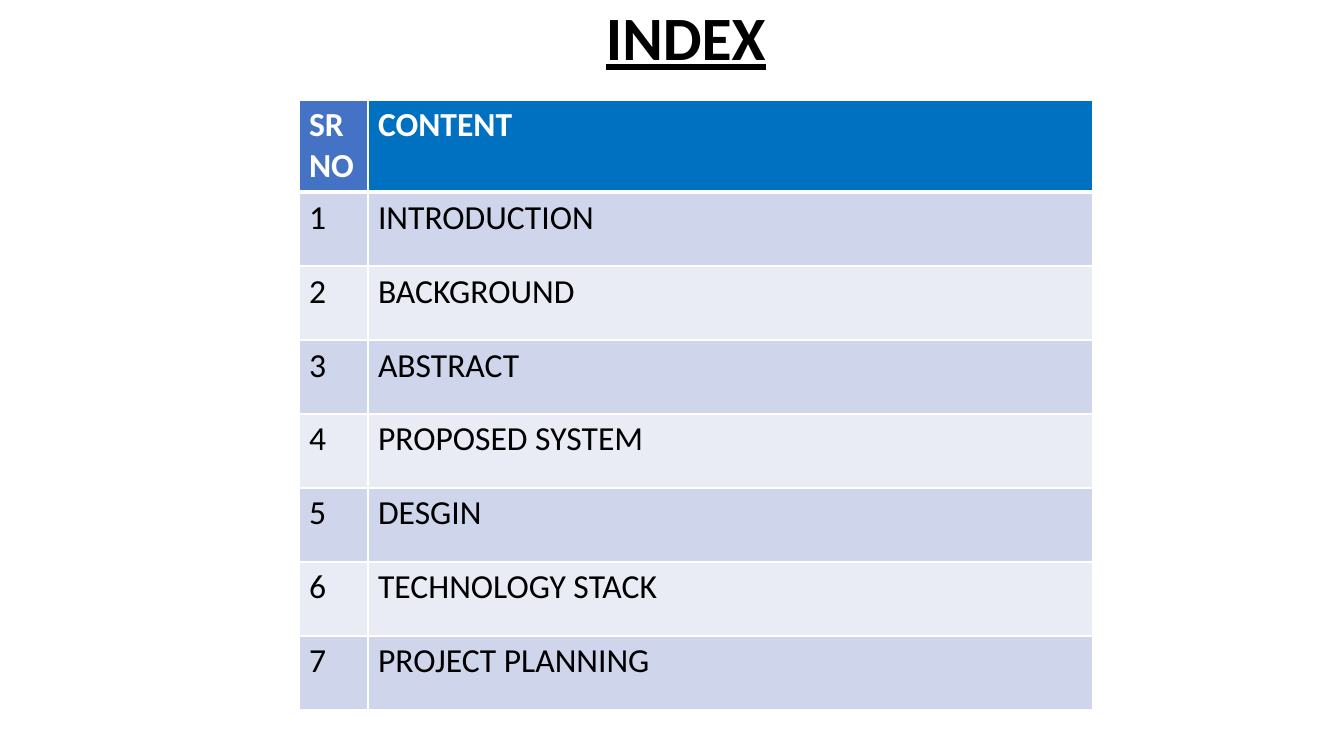
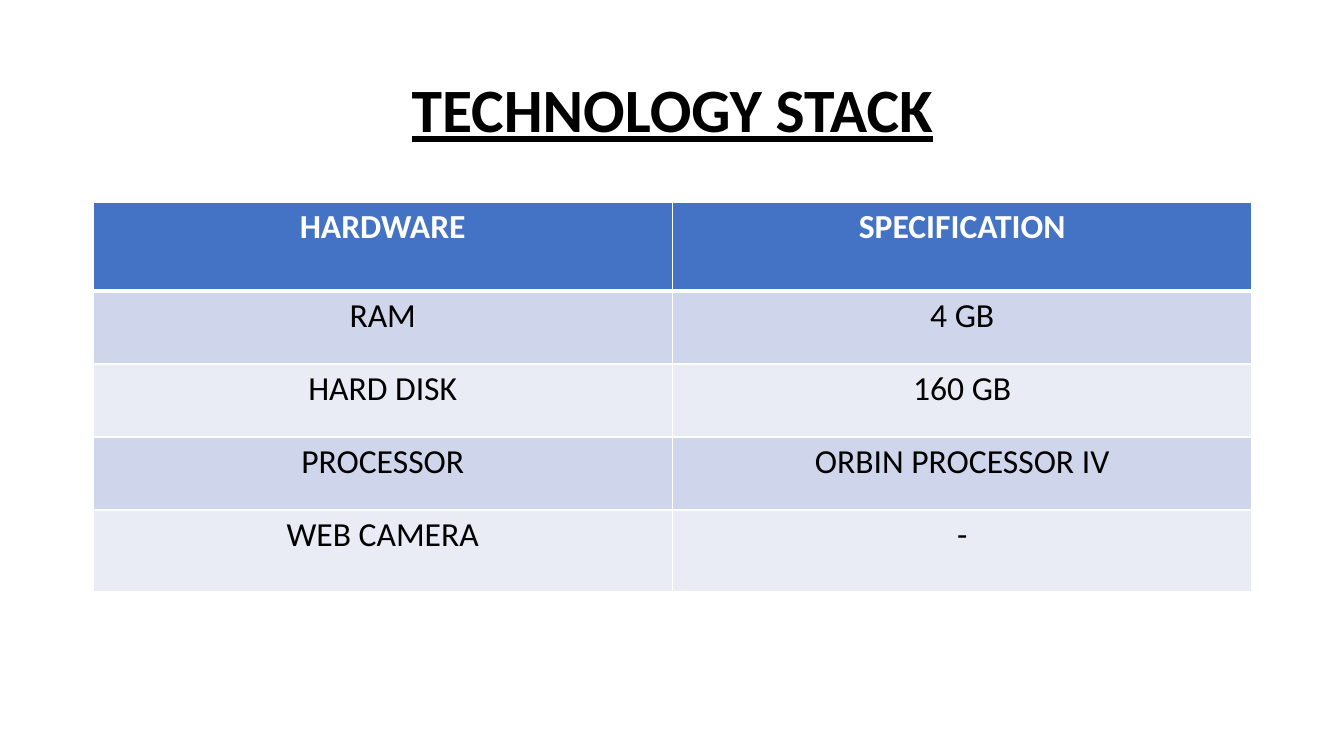
from dataclasses import dataclass

from lxml import etree
from pptx import Presentation
from pptx.dml.color import RGBColor
from pptx.enum.text import MSO_ANCHOR, MSO_AUTO_SIZE, PP_ALIGN
from pptx.oxml.ns import qn
from pptx.util import Emu, Pt

LEFT, CENTER = PP_ALIGN.LEFT, PP_ALIGN.CENTER
MIDDLE = MSO_ANCHOR.MIDDLE
NO_AUTOFIT = MSO_AUTO_SIZE.NONE
TITLE_ONLY = 5
SLIDE_WIDTH, SLIDE_HEIGHT = 1344, 756
EMU_PER_PX = 12192000 / SLIDE_WIDTH
CONTENT_LEFT, CONTENT_WIDTH = 93, 1159


@dataclass(frozen=True)
class Theme:
    font: str = "Calibri"
    title_size: int = 44
    table_size: int = 24
    thin_line: int = 1
    thick_line: int = 3
    text: RGBColor = RGBColor(0x00, 0x00, 0x00)
    white: RGBColor = RGBColor(0xFF, 0xFF, 0xFF)
    header: RGBColor = RGBColor(0x44, 0x72, 0xC4)
    header_accent: RGBColor = RGBColor(0x00, 0x70, 0xC0)
    bands: tuple = (RGBColor(0xCF, 0xD5, 0xEA), RGBColor(0xE9, 0xEB, 0xF5))


THEME = Theme()


def px(length):
    return Emu(round(length * EMU_PER_PX))


def format_text(frame, size, color, bold, align):
    for para in frame.paragraphs:
        para.alignment = align
        for span in para.runs:
            span.font.name = THEME.font
            span.font.size = Pt(size)
            span.font.color.rgb = color
            span.font.bold = bold


def add_page(deck, title, top, height, align=CENTER, indent=10):
    page = deck.slides.add_slide(deck.slide_layouts[TITLE_ONLY])
    box = page.shapes.title
    box.left, box.top = px(CONTENT_LEFT), px(top)
    box.width, box.height = px(CONTENT_WIDTH), px(height)
    frame = box.text_frame
    frame.text = title
    frame.word_wrap = True
    frame.auto_size = NO_AUTOFIT
    frame.vertical_anchor = MIDDLE
    frame.margin_left = px(indent)
    format_text(frame, THEME.title_size, THEME.text, True, align)
    para = frame.paragraphs[0]
    para.line_spacing = 0.9
    para.runs[0].font.underline = True
    return page


def set_borders(cell, top, bottom):
    properties = cell._tc.get_or_add_tcPr()
    widths = {"a:lnL": THEME.thin_line, "a:lnR": THEME.thin_line,
              "a:lnT": top, "a:lnB": bottom}
    for position, (tag, width) in enumerate(widths.items()):
        line = etree.Element(qn(tag), w=str(Pt(width)))
        fill = etree.SubElement(line, qn("a:solidFill"))
        etree.SubElement(fill, qn("a:srgbClr"), val=str(THEME.white))
        properties.insert(position, line)


def format_cell(cell, row, header_fill, align):
    is_header = row == 0
    color = THEME.white if is_header else THEME.text
    format_text(cell.text_frame, THEME.table_size, color, is_header, align)
    cell.fill.solid()
    cell.fill.fore_color.rgb = header_fill if is_header else THEME.bands[(row - 1) % 2]
    set_borders(cell,
                top=THEME.thick_line if row == 1 else THEME.thin_line,
                bottom=THEME.thick_line if is_header else THEME.thin_line)


def add_grid(page, rows, left, top, widths, heights, header_fills, align):
    table = page.shapes.add_table(
        len(rows), len(widths), px(left), px(top), px(sum(widths)), px(sum(heights))
    ).table
    for column, width in zip(table.columns, widths):
        column.width = px(width)
    for row, (values, height) in enumerate(zip(rows, heights)):
        table.rows[row].height = px(height)
        for column, value in enumerate(values):
            cell = table.cell(row, column)
            cell.text_frame.text = value
            format_cell(cell, row, header_fills[column], align)


def add_index(deck):
    page = add_page(deck, "INDEX", top=-11, height=103, align=LEFT, indent=513)
    topics = ["INTRODUCTION", "BACKGROUND", "ABSTRACT", "PROPOSED SYSTEM",
              "DESGIN", "TECHNOLOGY STACK", "PROJECT PLANNING"]
    rows = [("SR NO", "CONTENT")]
    rows += [(str(number), topic) for number, topic in enumerate(topics, 1)]
    add_grid(page, rows, left=299, top=100, widths=[69, 725],
             heights=[92] + [74] * len(topics),
             header_fills=[THEME.header, THEME.header_accent], align=LEFT)


def add_technology_stack(deck):
    page = add_page(deck, "TECHNOLOGY STACK", top=40, height=146)
    rows = [("HARDWARE", "SPECIFICATION"),
            ("RAM", "4 GB"),
            ("HARD DISK", "160 GB"),
            ("PROCESSOR", "ORBIN PROCESSOR IV"),
            ("WEB CAMERA", "-")]
    add_grid(page, rows, left=CONTENT_LEFT, top=202, widths=[CONTENT_WIDTH / 2] * 2,
             heights=[89, 73, 73, 73, 82],
             header_fills=[THEME.header] * 2, align=CENTER)


def main():
    deck = Presentation()
    deck.slide_width, deck.slide_height = px(SLIDE_WIDTH), px(SLIDE_HEIGHT)
    add_index(deck)
    add_technology_stack(deck)
    deck.save("out.pptx")


if __name__ == "__main__":
    main()
